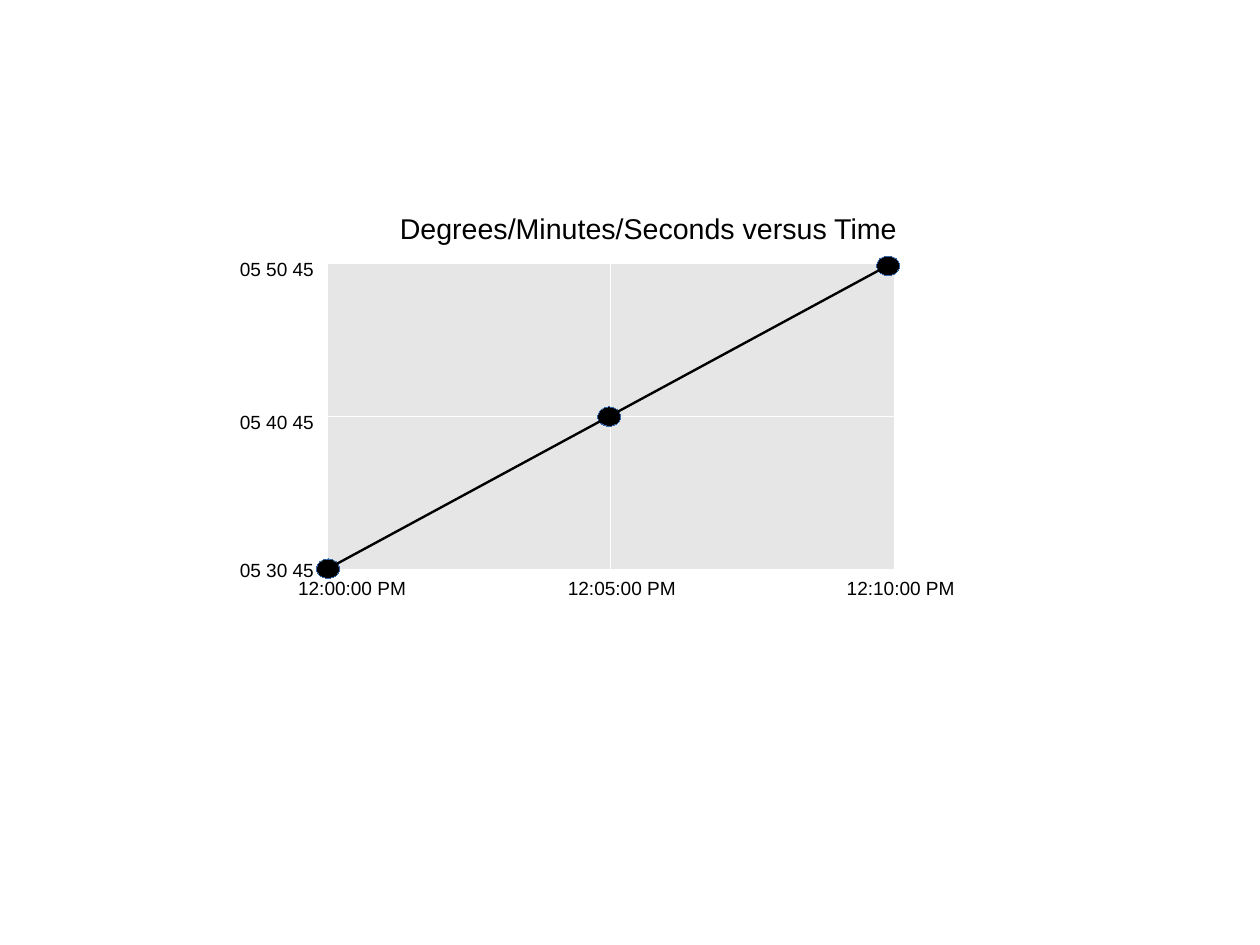
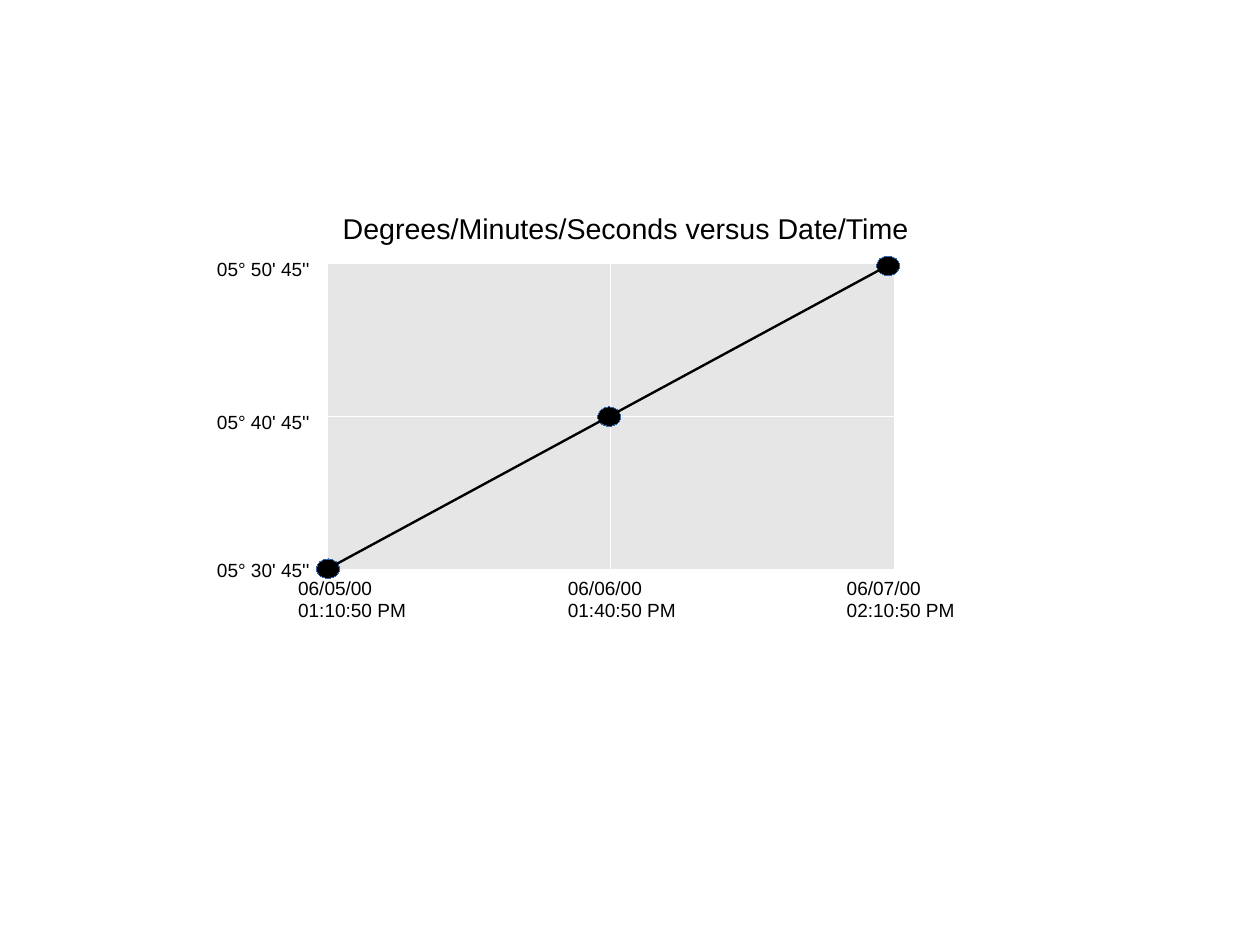
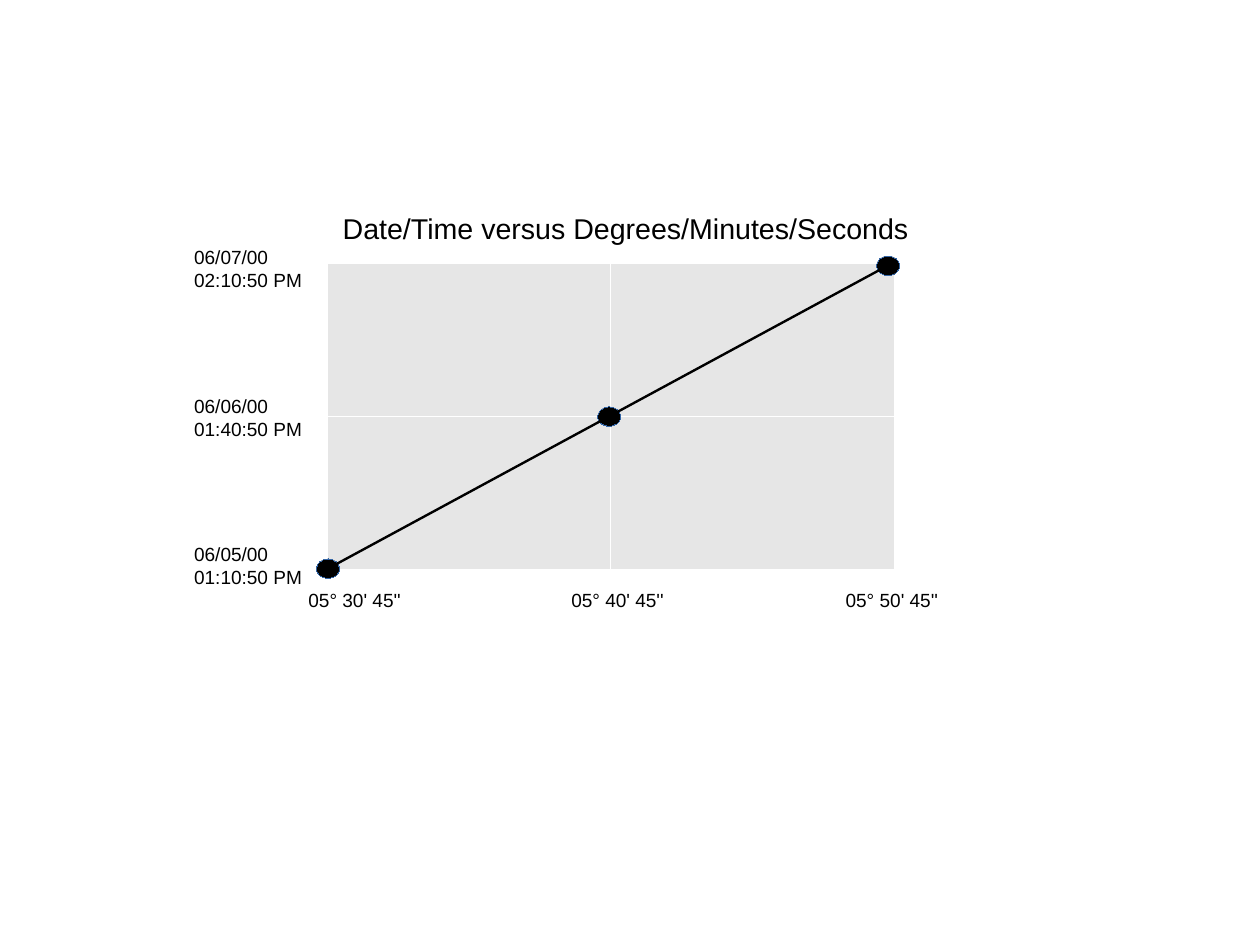
from pptx import Presentation
from pptx import util as u
from pptx.dml.color import RGBColor
from pptx.enum import shapes, text
from pptx.oxml import parse_xml
from pptx.oxml.ns import nsdecls
from lxml import etree

INK, GREY, WHITE, BLUE = "000000", "E6E6E6", "FFFFFF", "3465A4"
FONT = "Arial"
PAGE_W, PAGE_H = 28 / 2.54, 21 / 2.54
LEFT, TOP, CELL_W, CELL_H = 2.86, 2.3, 2.48, 1.34
DOT_W, DOT_H = 0.2, 0.17
DOTS = [(2.77, 4.89), (5.23, 3.56), (7.67, 2.24)]

STAMPS = ["06/05/00\n01:10:50 PM", "06/06/00\n01:40:50 PM", "06/07/00\n02:10:50 PM"]
ANGLES = ["05° 30' 45''", "05° 40' 45''", "05° 50' 45''"]
TIMES = ["12:00:00 PM", "12:05:00 PM", "12:10:00 PM"]
PLAIN = ["05 30 45", "05 40 45", "05 50 45"]
TIME_X, ANGLE_X = [2.51, 4.87, 7.31], [2.6, 4.9, 7.3]
ANGLE_Y, STAMP_Y = [4.84, 3.54, 2.2], [4.7, 3.4, 2.1]

PLOTS = [
    dict(title="Degrees/Minutes/Seconds versus Time", x=3.4, w=5,
         base=(TIMES, TIME_X, [4.99] * 3, 1.3),
         side=(PLAIN, [2] * 3, ANGLE_Y, 1.1)),
    dict(title="Degrees/Minutes/Seconds versus Date/Time", x=2.9, w=5.5,
         base=(STAMPS, TIME_X, [4.99] * 3, 1.3),
         side=(ANGLES, [1.8] * 3, ANGLE_Y, 1.1)),
    dict(title="Date/Time versus Degrees/Minutes/Seconds", x=2.9, w=5.5,
         base=(ANGLES, ANGLE_X, [5.1] * 3, 1.1),
         side=(STAMPS, [1.6] * 3, STAMP_Y, 1.3)),
]


def rgb(code):
    return RGBColor.from_string(code)


def box(*sizes):
    return [u.Inches(n) for n in sizes]


def add_text(slide, words, x, y, w, size=12):
    lines = words.split("\n")
    high = 0.1 + 0.19 * len(lines) if size == 12 else 0.38
    frame = slide.shapes.add_textbox(*box(x, y, w, high)).text_frame
    frame.word_wrap = True
    frame.auto_size = text.MSO_AUTO_SIZE.SHAPE_TO_FIT_TEXT
    frame.text = words
    for para in frame.paragraphs:
        for run in para.runs:
            run.font.name = FONT
            run.font.size = u.Pt(size)
            run.font.color.rgb = rgb(INK)


def add_grid(slide):
    grid = slide.shapes.add_table(2, 2, *box(LEFT, TOP, 2 * CELL_W, 2 * CELL_H)).table
    for cell in grid.iter_cells():
        props = cell._tc.get_or_add_tcPr()
        for side in ("lnL", "lnR", "lnT", "lnB"):
            props.append(parse_xml(
                f'<a:{side} {nsdecls("a")} w="720"><a:solidFill>'
                f'<a:srgbClr val="{WHITE}"/></a:solidFill></a:{side}>'))
        cell.fill.solid()
        cell.fill.fore_color.rgb = rgb(GREY)


def add_dot(slide, x, y):
    dot = slide.shapes.add_shape(shapes.MSO_SHAPE.OVAL, *box(x, y, DOT_W, DOT_H))
    dot.shadow.inherit = False
    dot.fill.solid()
    dot.fill.fore_color.rgb = rgb(INK)
    dot.line.color.rgb = rgb(BLUE)
    dot.line.width = u.Emu(1)


def add_trend(slide):
    ends = box(LEFT, TOP + 2 * CELL_H, LEFT + 2 * CELL_W - 0.01, TOP)
    trend = slide.shapes.add_connector(shapes.MSO_CONNECTOR.STRAIGHT, *ends)
    trend.line.color.rgb = rgb(INK)
    trend.line.width = u.Pt(1.5)
    etree.SubElement(trend._element.spPr,
                     "{http://schemas.openxmlformats.org/drawingml/2006/main}effectLst")


def add_plot(deck, plot):
    slide = deck.slides.add_slide(deck.slide_layouts[6])
    add_grid(slide)
    for words, lefts, tops, width in (plot["base"], plot["side"]):
        for label, x, y in zip(words, lefts, tops):
            add_text(slide, label, x, y, width)
    for x, y in DOTS:
        add_dot(slide, x, y)
    add_text(slide, plot["title"], plot["x"], 1.8, plot["w"], 18)
    add_trend(slide)


def main():
    deck = Presentation()
    deck.slide_width, deck.slide_height = box(PAGE_W, PAGE_H)
    for plot in PLOTS:
        add_plot(deck, plot)
    deck.save("out.pptx")


if __name__ == "__main__":
    main()
